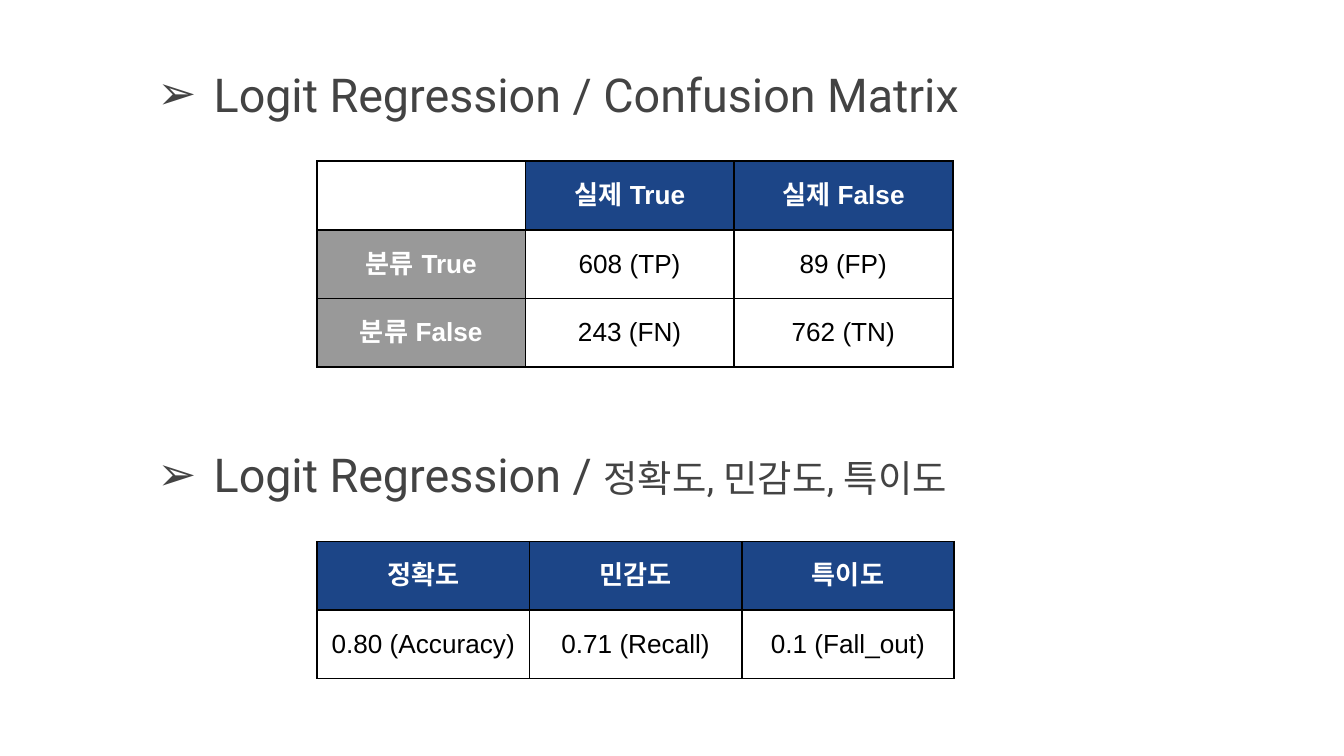
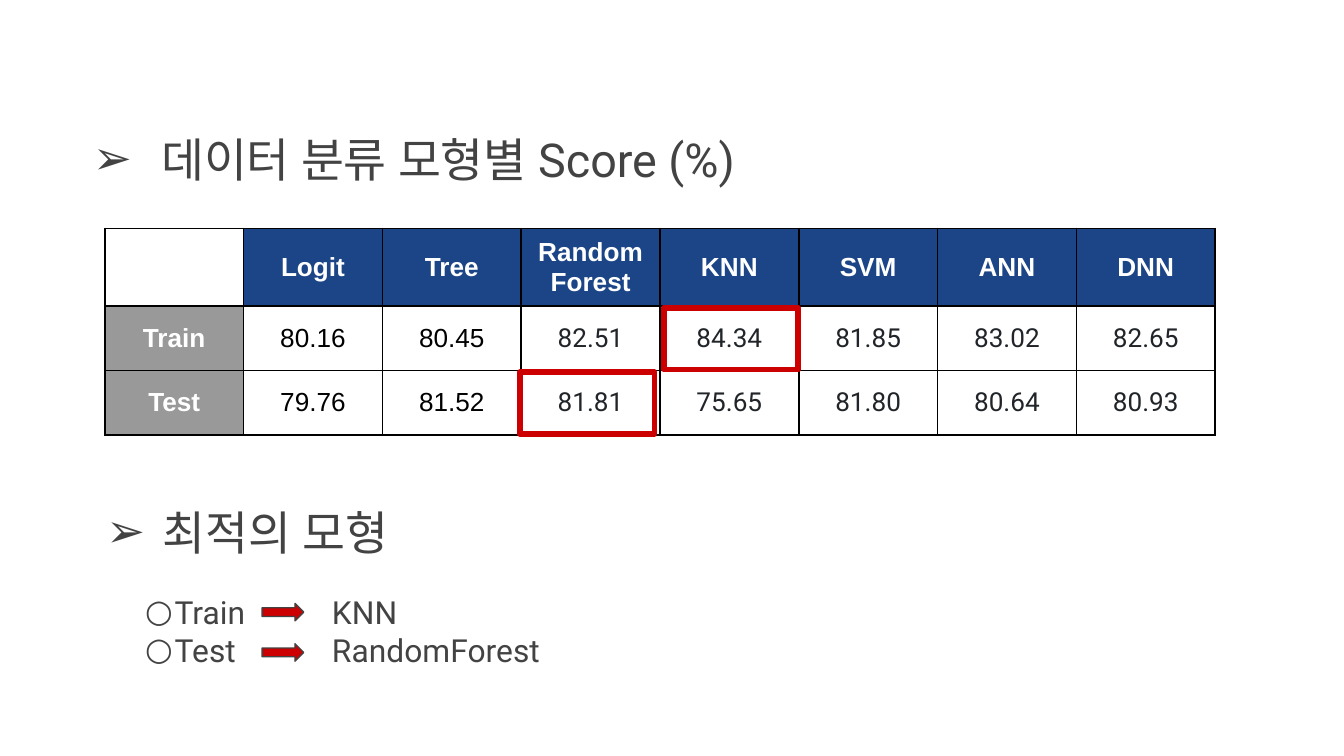
from dataclasses import dataclass
from lxml.etree import SubElement as Sub
from pptx import Presentation
from pptx.dml.color import RGBColor as Rgb
from pptx.enum.shapes import MSO_SHAPE as Shape
from pptx.enum.text import MSO_ANCHOR as Anchor, MSO_AUTO_SIZE as Fit, PP_ALIGN as Align
from pptx.oxml.ns import qn
from pptx.util import Inches, Pt


@dataclass(frozen=True)
class Theme:
    cell: float = 0.1
    cols: float = 100
    rows: float = 56.25
    navy: str = "1C4587"
    gray: str = "999999"
    red: str = "CC0000"
    ink: str = "434343"
    soft: str = "212529"
    black: str = "000000"
    white: str = "FFFFFF"
    plain: str = "Arial"
    clean: str = "Roboto"
    head: float = 25
    small: float = 20
    item: float = 17
    body: float = 14


T = Theme()


def grid(n):
    return Inches(n * T.cell)


def rgb(code):
    return Rgb.from_string(code)


def add_run(para, text, size, color, face, bold=False):
    run = para.add_run()
    run.text = text
    font = run.font
    font.size, font.bold, font.name = Pt(size), bold, face
    font.color.rgb = rgb(color)
    for tag in ("a:ea", "a:cs"):
        Sub(font._element, qn(tag), typeface=face)


def add_mark(para, mark, left, hang, stop=None):
    para.alignment = Align.LEFT
    para.space_before = Pt(0)
    props = para._p.get_or_add_pPr()
    props.set("marL", str(grid(left)))
    props.set("indent", str(-grid(hang)))
    Sub(Sub(props, qn("a:buClr")), qn("a:srgbClr"), val=T.ink)
    Sub(props, qn("a:buFont"), typeface=T.clean)
    Sub(props, qn("a:buChar"), char=mark)
    if stop:
        tabs = Sub(props, qn("a:tabLst"))
        Sub(tabs, qn("a:tab"), pos=str(grid(stop)), algn="l")


def place(shape, x, y, wide, high, inset=1):
    shape.left, shape.top = grid(x), grid(y)
    shape.width, shape.height = grid(wide), grid(high)
    frame = shape.text_frame
    frame.word_wrap, frame.auto_size = True, Fit.NONE
    frame.vertical_anchor = Anchor.TOP
    frame.margin_left = grid(inset)
    frame.margin_right = frame.margin_top = frame.margin_bottom = grid(1)
    return frame


def add_head(shape, x, y, wide, runs, left=5, hang=4.2):
    para = place(shape, x, y, wide, 6.6).paragraphs[0]
    add_mark(para, "➢", left, hang)
    for text, size in runs:
        add_run(para, text, size, T.ink, T.clean)


def add_list(shape, x, y, wide, pairs):
    frame = place(shape, x, y, wide, 6.6, inset=12.6)
    for i, pair in enumerate(pairs):
        para = frame.add_paragraph() if i else frame.paragraphs[0]
        para.level = 1
        add_mark(para, "○", 2.2, 2.2, stop=13.9)
        add_run(para, "\t".join(pair), T.item, T.ink, T.clean)


def add_edges(cell):
    props = cell._tc.get_or_add_tcPr()
    for i, side in enumerate(("lnL", "lnR", "lnT", "lnB")):
        line = props.makeelement(qn("a:" + side), {"w": str(Pt(1))})
        Sub(Sub(line, qn("a:solidFill")), qn("a:srgbClr"), val=T.black)
        props.insert(i, line)


def fill_cell(cell, text, color, face, back=None):
    cell.margin_left = cell.margin_right = grid(0.7)
    cell.margin_top = cell.margin_bottom = grid(0.7)
    cell.vertical_anchor = Anchor.MIDDLE
    if back:
        cell.fill.solid()
        cell.fill.fore_color.rgb = rgb(back)
    else:
        cell.fill.background()
    add_edges(cell)
    frame = cell.text_frame
    for i, part in enumerate(text.split("\n") if text else []):
        para = frame.add_paragraph() if i else frame.paragraphs[0]
        para.alignment = Align.CENTER
        add_run(para, part, T.body, color, face, back is not None)


def add_grid(slide, x, y, wides, highs, data, side=True, turn=99):
    frame = slide.shapes.add_table(
        len(highs), len(wides), grid(x), grid(y), grid(sum(wides)), grid(sum(highs)))
    table = frame.table
    table.first_row = table.horz_banding = False
    for col, wide in zip(table.columns, wides):
        col.width = grid(wide)
    for row, high in zip(table.rows, highs):
        row.height = grid(high)
    for r, line in enumerate(data):
        for c, text in enumerate(line):
            cell = table.cell(r, c)
            if not text:
                fill_cell(cell, text, T.black, T.plain, T.white)
            elif r == 0:
                fill_cell(cell, text, T.white, T.plain, T.navy)
            elif side and c == 0:
                fill_cell(cell, text, T.white, T.plain, T.gray)
            elif c < turn:
                fill_cell(cell, text, T.black, T.plain)
            else:
                fill_cell(cell, text, T.soft, T.clean)


def add_form(slide, kind, x, y, wide, high, line, width, fill=None):
    form = slide.shapes.add_shape(kind, grid(x), grid(y), grid(wide), grid(high))
    form.shadow.inherit = False
    form.line.color.rgb = rgb(line)
    form.line.width = Pt(width)
    if fill:
        form.fill.solid()
        form.fill.fore_color.rgb = rgb(fill)
    else:
        form.fill.background()


def add_logit(deck):
    slide = deck.slides.add_slide(deck.slide_layouts[1])
    top, low = slide.placeholders
    add_head(top, 9.9, 3.9, 93.2, [("Logit Regression / Confusion Matrix", T.head)])
    add_grid(slide, 23.6, 12, [15.5, 15.5, 16.3], [5.1] * 3, [
        ["", "실제 True", "실제 False"],
        ["분류 True", "608 (TP)", "89 (FP)"],
        ["분류 False", "243 (FN)", "762 (TN)"],
    ])
    add_head(low, 9.9, 32.2, 66, [
        ("Logit Regression / ", T.head), ("정확도, 민감도, 특이도", T.small)])
    add_grid(slide, 23.6, 40.3, [15.8] * 3, [5.1] * 2, [
        ["정확도", "민감도", "특이도"],
        ["0.80 (Accuracy)", "0.71 (Recall)", "0.1 (Fall_out)"],
    ], side=False)


def add_score(deck):
    slide = deck.slides.add_slide(deck.slide_layouts[3])
    top, low, items = slide.placeholders
    add_head(top, 5.1, 8.7, 93.2, [("데이터 분류 모형별 Score (%)", T.head)], 5.9, 5.1)
    add_grid(slide, 7.8, 17, [10.33] * 8, [5.7, 4.8, 4.8], [
        ["", "Logit", "Tree", "Random\nForest", "KNN", "SVM", "ANN", "DNN"],
        ["Train", "80.16", "80.45", "82.51", "84.34", "81.85", "83.02", "82.65"],
        ["Test", "79.76", "81.52", "81.81", "75.65", "81.80", "80.64", "80.93"],
    ], turn=3)
    add_list(items, -1.8, 43.1, 71.4, [("Train", "KNN"), ("Test", "RandomForest")])
    add_head(low, 6.1, 36.5, 93.2, [("최적의 모형", T.head)])
    for x, y in ((49.4, 22.9), (38.7, 27.7)):
        add_form(slide, Shape.RECTANGLE, x, y, 10, 4.6, T.red, 3)
    for y in (44.9, 47.9):
        add_form(slide, Shape.RIGHT_ARROW, 19.5, y, 3.1, 1.3, T.ink, 0.75, T.red)


def main():
    deck = Presentation()
    deck.slide_width, deck.slide_height = grid(T.cols), grid(T.rows)
    add_logit(deck)
    add_score(deck)
    deck.save("out.pptx")


if __name__ == "__main__":
    main()
